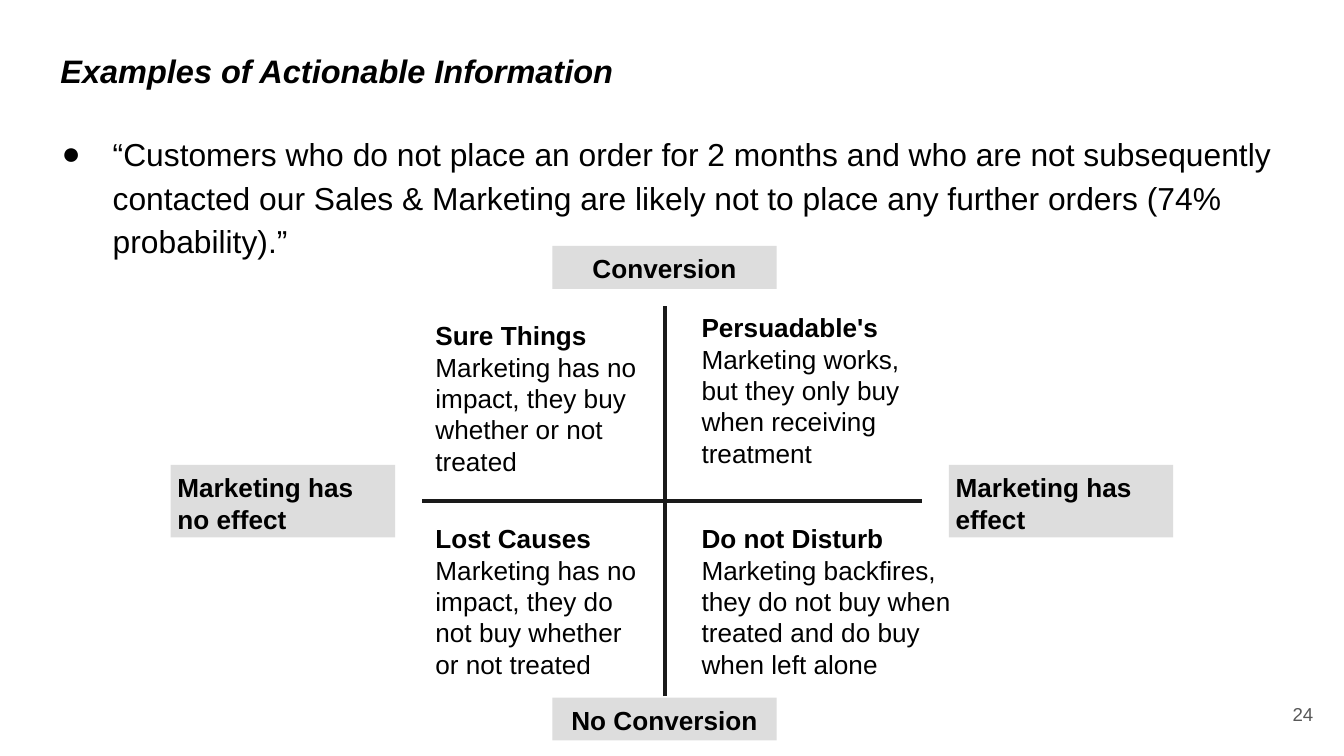
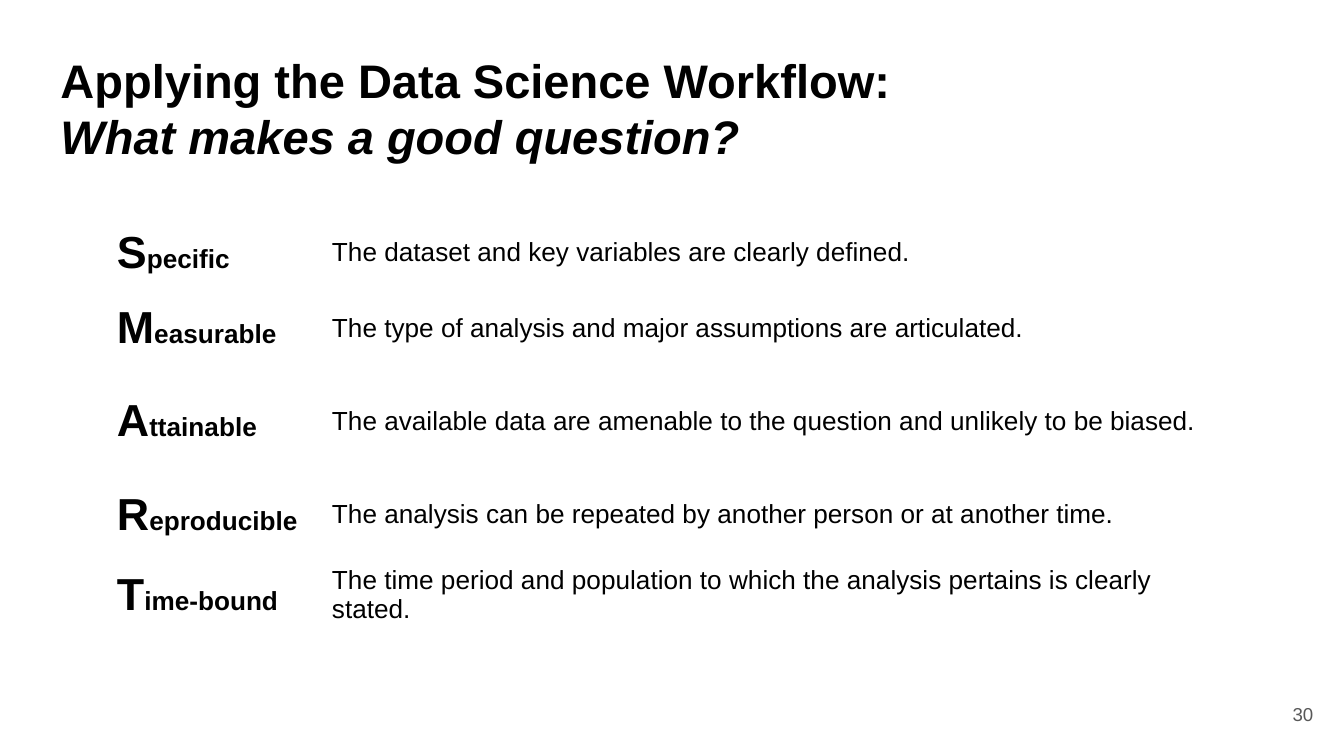
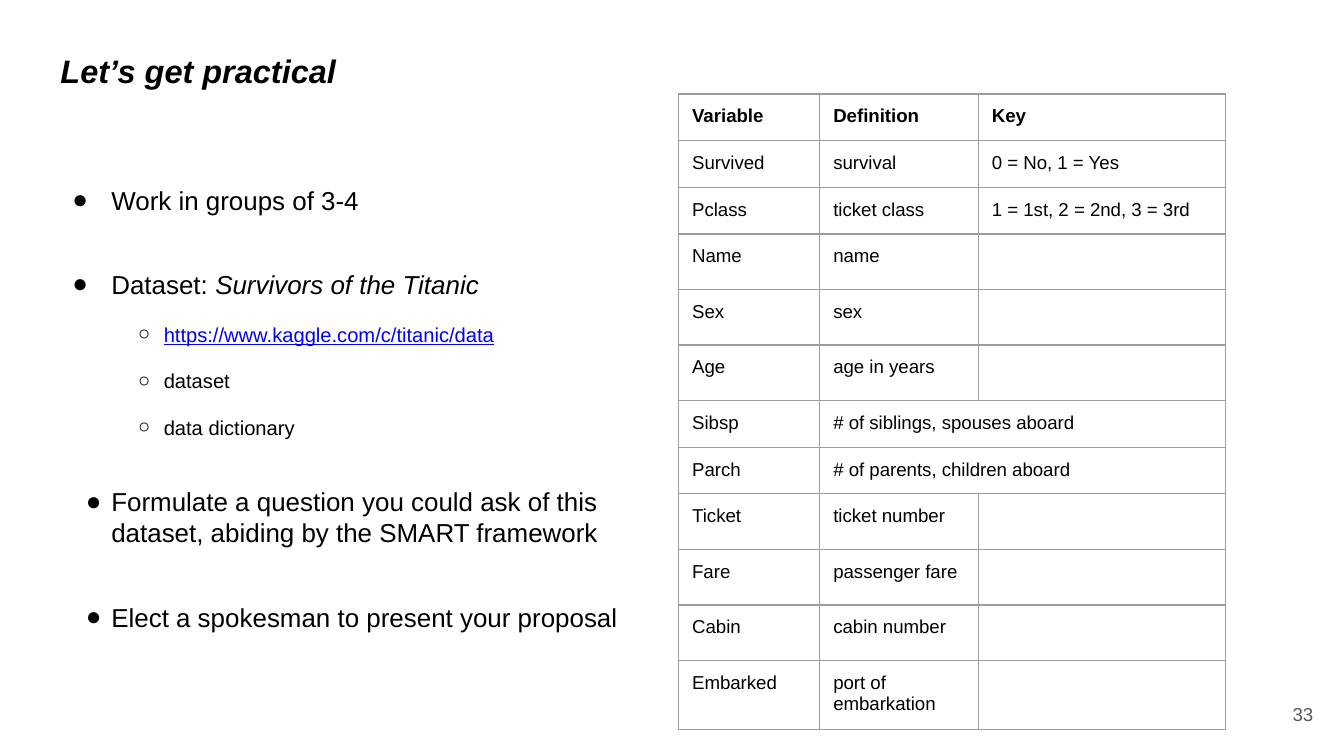
from lxml import etree
from pptx import Presentation
from pptx.dml.color import RGBColor
from pptx.enum.shapes import MSO_CONNECTOR, MSO_SHAPE
from pptx.enum.text import MSO_ANCHOR, MSO_AUTO_SIZE, PP_ALIGN
from pptx.oxml.ns import qn
from pptx.util import Inches, Pt

BLACK = RGBColor(0x00, 0x00, 0x00)
AXIS = RGBColor(0x1A, 0x1A, 0x1A)
LABEL_FILL = RGBColor(0xDD, 0xDD, 0xDD)
BORDER = RGBColor(0x9E, 0x9E, 0x9E)
NUMBER_GREY = RGBColor(0x58, 0x58, 0x58)
LINK_BLUE = RGBColor(0x00, 0x00, 0xFF)

LEFT, CENTER, RIGHT = PP_ALIGN.LEFT, PP_ALIGN.CENTER, PP_ALIGN.RIGHT
TOP, MIDDLE = MSO_ANCHOR.TOP, MSO_ANCHOR.MIDDLE
NO_FIT, GROW = MSO_AUTO_SIZE.NONE, MSO_AUTO_SIZE.SHAPE_TO_FIT_TEXT
STRAIGHT, RECTANGLE = MSO_CONNECTOR.STRAIGHT, MSO_SHAPE.RECTANGLE

FONT = "Arial"
TITLE_ONLY = 5
PLAIN_TABLE = "{2D5ABB26-0587-4C30-8999-92F81FD0307C}"
SLIDE_WIDTH = 10
SLIDE_HEIGHT = SLIDE_WIDTH * 9 / 16
MARGIN, TIGHT_MARGIN = 0.1, 0.05

# Quadrant diagram
AXIS_X, AXIS_Y = 4.95, 3.73
QUADRANT_COLUMNS = (3.19, 5.17)
QUADRANT_LOWER = 3.84
LABEL_WIDTH = 1.67
QUADRANTS = [
    (0, 2.33, LABEL_WIDTH, "Sure Things",
     "Marketing has no impact, they buy whether or not treated"),
    (1, 2.27, LABEL_WIDTH, "Persuadable's",
     "Marketing works, but they only buy when receiving treatment"),
    (0, QUADRANT_LOWER, LABEL_WIDTH, "Lost Causes",
     "Marketing has no impact, they do not buy whether or not treated"),
    (1, QUADRANT_LOWER, 1.98, "Do not Disturb",
     "Marketing backfires, they do not buy when treated and do buy when left alone"),
]
AXIS_LABELS = [
    (1.27, 3.46, 0.54, "Marketing has no effect", LEFT),
    (7.06, 3.46, 0.54, "Marketing has effect", LEFT),
    (4.11, 1.83, 0.32, "Conversion", CENTER),
    (4.11, 5.19, 0.32, "No Conversion", CENTER),
]
SMART = [
    ("Specific", "The dataset and key variables are clearly defined."),
    ("Measurable", "The type of analysis and major assumptions are articulated."),
    ("Attainable", "The available data are amenable to the question and unlikely to be biased."),
    ("Reproducible", "The analysis can be repeated by another person or at another time."),
    ("Time-bound",
     "The time period and population to which the analysis pertains is clearly stated."),
]
VARIABLES = [
    ("Variable", "Definition", "Key"),
    ("Survived", "survival", "0 = No, 1 = Yes"),
    ("Pclass", "ticket class", "1 = 1st, 2 = 2nd, 3 = 3rd"),
    ("Name", "name", ""),
    ("Sex", "sex", ""),
    ("Age", "age in years", ""),
    ("Sibsp", "# of siblings, spouses aboard", None),
    ("Parch", "# of parents, children aboard", None),
    ("Ticket", "ticket number", ""),
    ("Fare", "passenger fare", ""),
    ("Cabin", "cabin number", ""),
    ("Embarked", "port of embarkation", ""),
]


def add_span(para, text, size, bold=False, italic=False, color=BLACK, underline=None):
    span = para.add_run()
    span.text = text
    font = span.font
    font.name, font.size = FONT, Pt(size)
    font.bold, font.italic, font.underline = bold, italic, underline
    font.color.rgb = color


def next_para(frame, index):
    """Return the frame's own first paragraph, or a new one after it."""
    return frame.add_paragraph() if index else frame.paragraphs[0]


def set_margins(target, side, upright):
    target.margin_left = target.margin_right = Inches(side)
    target.margin_top = target.margin_bottom = Inches(upright)


def prepare_frame(shape, margin=MARGIN, anchor=TOP, fit=NO_FIT, wrap=True):
    frame = shape.text_frame
    set_margins(frame, margin, margin)
    frame.vertical_anchor, frame.auto_size, frame.word_wrap = anchor, fit, wrap
    return frame


def add_text_box(page, place, **frame_options):
    box = page.shapes.add_textbox(*map(Inches, place))
    return prepare_frame(box, **frame_options)


def add_page(deck, number, title_lines, size, height):
    """Add a titled slide; each title line is (text, italic)."""
    page = deck.slides.add_slide(deck.slide_layouts[TITLE_ONLY])
    title = page.shapes.title
    title.left, title.top = Inches(0.35), Inches(0.05 * SLIDE_HEIGHT)
    title.width, title.height = Inches(9.19), Inches(height)
    frame = prepare_frame(title)
    for index, (text, italic) in enumerate(title_lines):
        para = next_para(frame, index)
        para.alignment = LEFT
        add_span(para, text, size, bold=True, italic=italic)

    number_frame = add_text_box(page, (0.95 * SLIDE_WIDTH, 5.14, 0.37, 0.35),
                                anchor=MIDDLE, fit=GROW, wrap=False)
    para = number_frame.paragraphs[0]
    para.alignment = RIGHT
    add_span(para, str(number), 10, color=NUMBER_GREY)
    return page


def set_bullet(para, symbol, margin, hang):
    properties = para._p.get_or_add_pPr()
    properties.set("marL", str(Inches(margin)))
    properties.set("indent", str(-Inches(hang)))
    color = etree.SubElement(properties, qn("a:buClr"))
    etree.SubElement(color, qn("a:srgbClr"), val=str(BLACK))
    etree.SubElement(properties, qn("a:buFont"), typeface=FONT)
    etree.SubElement(properties, qn("a:buChar"), char=symbol)


def add_axis(page, x1, y1, x2, y2):
    axis = page.shapes.add_connector(STRAIGHT, *map(Inches, (x1, y1, x2, y2)))
    axis.line.color.rgb, axis.line.width = AXIS, Pt(2)
    etree.SubElement(axis._element.spPr, qn("a:effectLst"))


def add_quadrant(page, column, top, width, heading, text):
    frame = add_text_box(page, (QUADRANT_COLUMNS[column], top, width, 1.2),
                         margin=TIGHT_MARGIN, fit=GROW)
    add_span(frame.paragraphs[0], heading, 14, bold=True)
    add_span(frame.add_paragraph(), text, 14)


def add_axis_label(page, left, top, height, text, alignment):
    place = (left, top, LABEL_WIDTH, height)
    label = page.shapes.add_shape(RECTANGLE, *map(Inches, place))
    label.shadow.inherit = False
    label.fill.solid()
    label.fill.fore_color.rgb = LABEL_FILL
    label.line.fill.background()
    para = prepare_frame(label, TIGHT_MARGIN, fit=GROW).paragraphs[0]
    para.alignment = alignment
    add_span(para, text, 14, bold=True)


def add_plain_table(page, left, top, widths, heights, upright_margin):
    """Add a table without style, bands or fills."""
    frame = page.shapes.add_table(
        len(heights), len(widths),
        *map(Inches, (left, top, sum(widths), sum(heights))))
    table = frame.table
    table.first_row = table.horz_banding = False
    table._tbl.tblPr.find(qn("a:tableStyleId")).text = PLAIN_TABLE
    for column, width in zip(table.columns, widths):
        column.width = Inches(width)
    for row, height in zip(table.rows, heights):
        row.height = Inches(height)
    for cell in table.iter_cells():
        set_margins(cell, MARGIN, upright_margin)
        cell.fill.background()
    return table


def set_borders(cell):
    properties = cell._tc.get_or_add_tcPr()
    for index, side in enumerate(("a:lnL", "a:lnR", "a:lnT", "a:lnB")):
        line = etree.Element(qn(side), w=str(Pt(0.75)))
        fill = etree.SubElement(line, qn("a:solidFill"))
        etree.SubElement(fill, qn("a:srgbClr"), val=str(BORDER))
        properties.insert(index, line)


def add_smart_table(page):
    table = add_plain_table(page, 0.77, 1.6, (1.6, 6.82),
                            (0.54, 0.54, 0.83, 0.54, 0.54), 0.08)
    for row, (term, meaning) in enumerate(SMART):
        term_cell, meaning_cell = table.cell(row, 0), table.cell(row, 1)
        term_cell.vertical_anchor = meaning_cell.vertical_anchor = MIDDLE
        para = term_cell.text_frame.paragraphs[0]
        add_span(para, term[0], 24, bold=True)
        add_span(para, term[1:], 14, bold=True)
        add_span(meaning_cell.text_frame.paragraphs[0], meaning, 14)


def add_variable_table(page):
    heights = [0.33] * (len(VARIABLES) - 1) + [0.49]
    table = add_plain_table(page, 5.05, 0.7, (1.05, 1.18, 1.84), heights, 0.09)
    for row, texts in enumerate(VARIABLES):
        for column, text in enumerate(texts):
            cell = table.cell(row, column)
            set_borders(cell)
            para = cell.text_frame.paragraphs[0]
            if text:
                add_span(para, text, 10, bold=row == 0)
            else:
                etree.SubElement(para._p, qn("a:endParaRPr"), sz="1400")
        if texts[-1] is None:
            table.cell(row, 1).merge(table.cell(row, 2))


def add_task_list(page):
    frame = add_text_box(page, (0.35, 1.27, 4.41, 3.77))
    # text, level, hanging indent, space before
    tasks = [
        ("Work in groups of 3-4", 0, 0.29, 0),
        ("Dataset: ", 0, 0.29, 28.5),
        ("https://www.kaggle.com/c/titanic/data", 1, 0.19, 12),
        ("dataset", 1, 0.19, 12),
        ("data dictionary", 1, 0.19, 12),
        ("Formulate a question you could ask of this dataset, "
         "abiding by the SMART framework", 0, 0.19, 25),
        ("Elect a spokesman to present your proposal", 0, 0.19, 28.5),
    ]
    for index, (text, level, hang, space) in enumerate(tasks):
        para = next_para(frame, index)
        para.level = level
        set_bullet(para, "●○"[level], (0.38, 0.77)[level], hang)
        para.space_before = Pt(space)
        size = (13.9, 10.8)[level]
        if text.startswith("https"):
            add_span(para, text, size, color=LINK_BLUE, underline=True)
        else:
            add_span(para, text, size)
        if text.startswith("Dataset"):
            add_span(para, "Survivors of the Titanic", size, italic=True)


def build_actionable_page(deck):
    page = add_page(deck, 24, [("Examples of Actionable Information", True)], 17.4, 0.5)
    para = add_text_box(page, (0.24, 0.86, 9.52, 1.45)).paragraphs[0]
    set_bullet(para, "●", 0.5, 0.38)
    para.line_spacing = 1.15
    add_span(para, "“Customers who do not place an order for 2 months and who are not "
                   "subsequently contacted our Sales & Marketing are likely not to place "
                   "any further orders (74% probability).”", 17)
    add_axis(page, AXIS_X, 5.18, AXIS_X, 2.28)
    add_axis(page, 6.86, AXIS_Y, 3.14, AXIS_Y)
    for quadrant in QUADRANTS:
        add_quadrant(page, *quadrant)
    for label in AXIS_LABELS:
        add_axis_label(page, *label)


def build_question_page(deck):
    title_lines = [("Applying the Data Science Workflow:", False),
                   ("What makes a good question?", True)]
    add_smart_table(add_page(deck, 30, title_lines, 25.2, 1.04))


def build_practice_page(deck):
    page = add_page(deck, 33, [("Let’s get practical", True)], 17.4, 0.5)
    add_task_list(page)
    add_variable_table(page)


def main():
    deck = Presentation()
    deck.slide_width, deck.slide_height = Inches(SLIDE_WIDTH), Inches(SLIDE_HEIGHT)
    build_actionable_page(deck)
    build_question_page(deck)
    build_practice_page(deck)
    deck.save("out.pptx")


if __name__ == "__main__":
    main()
